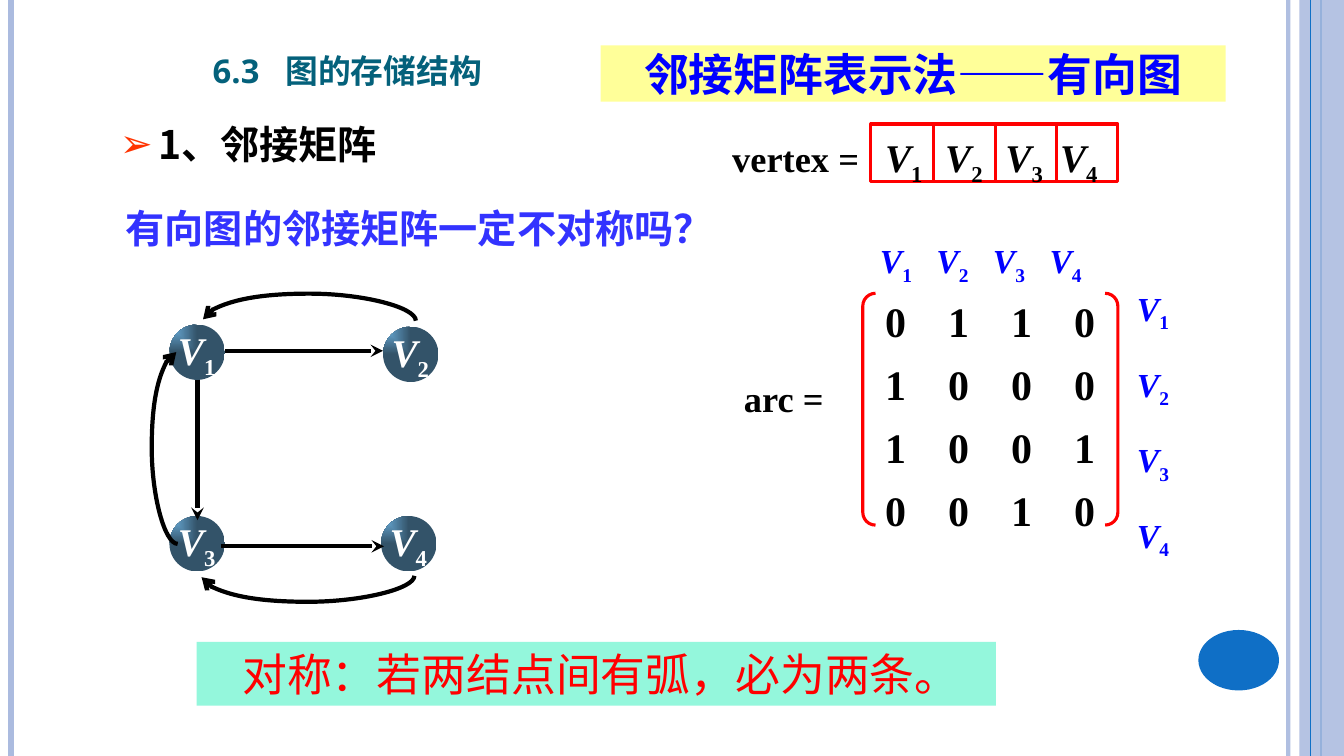
from dataclasses import dataclass

from lxml import etree
from pptx import Presentation
from pptx.dml.color import RGBColor
from pptx.enum.shapes import MSO_CONNECTOR as Link, MSO_SHAPE as Kind
from pptx.enum.text import MSO_ANCHOR as Anchor, MSO_AUTO_SIZE as Fit, PP_ALIGN as Align
from pptx.oxml import parse_xml
from pptx.oxml.ns import nsdecls, qn
from pptx.util import Pt


@dataclass(frozen=True)
class Theme:
    """Colours, fonts and type sizes of the slide."""
    frame: str = "ABBBDF"
    accent: str = "0F6FC6"
    heading: str = "04617B"
    black: str = "000000"
    white: str = "FFFFFF"
    red: str = "FF0000"
    bullet: str = "FF3300"
    blue: str = "0000FF"
    question: str = "3333FF"
    banner: str = "FFFF99"
    answer: str = "94F7DC"
    node_light: str = "6FB4E3"
    node_dark: str = "335369"
    serif: str = "Times New Roman"
    sans: str = "Noto Sans"
    chinese: str = "Noto Sans CJK SC"
    title_size: float = 29.2
    banner_size: float = 32
    matrix_size: float = 30
    body_size: float = 28
    label_size: float = 26
    index_size: float = 24


THEME = Theme()


def add_child(parent, tag, **attributes):
    """Append a DrawingML element with the given attributes."""
    return etree.SubElement(parent, qn(f"a:{tag}"), attributes)


def add_span(para, text, size, color, font=THEME.serif, bold=True, italic=False, **extra):
    """Add one formatted run; extra attributes go to its properties."""
    span = para.add_run()
    span.text = text
    span.font.size, span.font.name = Pt(size), font
    span.font.bold, span.font.italic = bold, italic
    span.font.color.rgb = RGBColor.from_string(color)
    props = span._r.get_or_add_rPr()
    add_child(props, "ea", typeface=THEME.chinese)
    for name, value in extra.items():
        props.set(name, value)


def add_vertices(para, numbers, size, color):
    """Write vertex names with subscripts, parted by tabs."""
    for position, number in enumerate(numbers):
        if position:
            add_span(para, "\t", size, color)
        add_span(para, "V", size, color, italic=True)
        add_span(para, str(number), size, color, baseline="-25000")


def set_tabs(para, stops):
    """Give a paragraph left tab stops."""
    tabs = add_child(para._p.get_or_add_pPr(), "tabLst")
    for stop in stops:
        add_child(tabs, "tab", pos=str(Pt(stop)), algn="l")


def prepare(box, margins=(7.2, 3.6, 7.2, 3.6), anchor=Anchor.TOP, align=Align.LEFT):
    """Set up the text frame and return its first paragraph."""
    frame = box.text_frame
    frame.word_wrap, frame.auto_size = True, Fit.NONE
    frame.vertical_anchor = anchor
    (frame.margin_left, frame.margin_top,
     frame.margin_right, frame.margin_bottom) = map(Pt, margins)
    para = frame.paragraphs[0]
    para.alignment = align
    para.space_before = Pt(0)
    return para


def add_text(page, left, top, width, height, **layout):
    """Add a text box and return its first paragraph and frame."""
    box = page.shapes.add_textbox(Pt(left), Pt(top), Pt(width), Pt(height))
    return prepare(box, **layout), box.text_frame


def add_figure(page, kind, left, top, width, height, fill=None, line=None):
    """Add a preset shape with a plain fill and outline."""
    shape = page.shapes.add_shape(kind, Pt(left), Pt(top), Pt(width), Pt(height))
    shape.shadow.inherit = False
    if fill:
        shape.fill.solid()
        shape.fill.fore_color.rgb = RGBColor.from_string(fill)
    else:
        shape.fill.background()
    if line:
        shape.line.color.rgb = RGBColor.from_string(line)
        shape.line.width = Pt(2.25)
    else:
        shape.line.fill.background()
    return shape


def add_line(page, x1, y1, x2, y2, color, weight, head=None, link=Link.STRAIGHT):
    """Add a connector, with an arrowhead at its end if one is named."""
    line = page.shapes.add_connector(link, Pt(x1), Pt(y1), Pt(x2), Pt(y2))
    line.line.color.rgb = RGBColor.from_string(color)
    line.line.width = Pt(weight)
    if head:
        add_child(line.line._get_or_add_ln(), "tailEnd", type=head)
    add_child(line.element.spPr, "effectLst")
    return line


def add_arc(page, x, y, span, bulge, turn, flip=False):
    """Add a curved arrow around a centre, bulging towards the turned x axis."""
    ends = (y - span / 2, y + span / 2)
    start, end = reversed(ends) if flip else ends
    arc = add_line(page, x - 0.5, start, x + 0.5, end, THEME.black, 3, "arrow", Link.CURVE)
    arc.rotation = turn
    guides = arc.element.spPr.find(qn("a:prstGeom")).get_or_add_avLst()
    add_child(guides, "gd", name="adj1", fmla=f"val {round(bulge * 100000)}")


def set_alpha(shape, percent):
    """Make the colours of a shape partly transparent."""
    for color in shape.element.spPr.iter(qn("a:srgbClr")):
        add_child(color, "alpha", val=str(percent * 1000))


def add_node(page, number, left, top):
    """Add a shaded graph node with its vertex name."""
    node = add_figure(page, Kind.OVAL, left, top, 39.6, 39.6)
    props = node.element.spPr
    shade = parse_xml(
        f'<a:gradFill {nsdecls("a")}><a:gsLst>'
        f'<a:gs pos="0"><a:srgbClr val="{THEME.node_light}"/></a:gs>'
        f'<a:gs pos="100000"><a:srgbClr val="{THEME.node_dark}"/></a:gs></a:gsLst>'
        '<a:path path="rect"><a:fillToRect r="100000" b="100000"/></a:path></a:gradFill>')
    props.replace(props.find(qn("a:noFill")), shade)
    para, _ = add_text(page, left + 5.4, top - 3.8, 36.7, 46.8, margins=(0.7, 5, 0, 0.7))
    add_vertices(para, [number], THEME.body_size, THEME.white)


def add_frame(page):
    """Draw the side rules, the band and the page-number disc."""
    set_alpha(add_line(page, 920.2, 0, 920.2, 540, THEME.frame, 3), 93)
    add_line(page, 7.9, 0, 7.9, 540, THEME.frame, 4.5)
    add_line(page, 943.9, 0, 943.9, 540, THEME.accent, 1.5)
    set_alpha(add_figure(page, Kind.RECTANGLE, 928.1, 0, 31.9, 540, THEME.frame), 87)
    add_line(page, 936, 0, 936, 540, THEME.accent, 0.75)
    add_figure(page, Kind.OVAL, 856, 450, 57.6, 43.2, THEME.accent)


def place(holder, left, top, width, height):
    """Move a placeholder."""
    holder.left, holder.top, holder.width, holder.height = map(Pt, (left, top, width, height))


def add_headings(page):
    """Fill the title and body, then add the banner, question and answer."""
    title, body = page.shapes.title, page.placeholders[1]
    place(title, 144.7, 25.2, 351.4, 43.9)
    para = prepare(title, anchor=Anchor.BOTTOM)
    add_span(para, "6.3\t图的存储结构", THEME.title_size, THEME.heading, THEME.sans, cap="small")
    set_tabs(para, [52])

    place(body, 78.5, 79.2, 340, 54.7)
    para = prepare(body, margins=(7.2, 0, 7.2, 0))
    para.line_spacing = 1.2
    props = para._p.get_or_add_pPr()
    props.set("marL", str(Pt(27.4)))
    props.set("indent", str(Pt(-27.4)))
    add_child(add_child(props, "buClr"), "srgbClr", val=THEME.bullet)
    add_child(props, "buChar", char="➢")
    add_span(para, "1、邻接矩阵", THEME.body_size, THEME.black, THEME.chinese)

    centred = dict(margins=(7.2, 0, 7.2, 0), anchor=Anchor.MIDDLE, align=Align.CENTER)
    banner = add_figure(page, Kind.RECTANGLE, 429.1, 32.4, 446.4, 40.3, THEME.banner)
    add_span(prepare(banner, **centred), "邻接矩阵表示法——有向图",
             THEME.banner_size, THEME.blue, THEME.chinese)
    para, _ = add_text(page, 76.3, 146.2, 442, 41, margins=(7.2, 0, 7.2, 0))
    add_span(para, " 有向图的邻接矩阵一定不对称吗？", THEME.body_size, THEME.question, THEME.chinese)
    answer = add_figure(page, Kind.RECTANGLE, 140.4, 458.6, 571, 45.4, THEME.answer)
    add_span(prepare(answer, **centred), " 对称：若两结点间有弧，必为两条。",
             THEME.banner_size, THEME.red, THEME.chinese, bold=False)


def add_arrays(page):
    """Draw the vertex array and the adjacency matrix with its indices."""
    array = add_figure(page, Kind.RECTANGLE, 622.1, 88.6, 176.4, 41, line=THEME.red)
    para = prepare(array, margins=(10.1, 6.5, 0, 3.6))
    add_vertices(para, range(1, 5), THEME.body_size, THEME.black)
    set_tabs(para, [43, 86, 125])
    for x in (666.7, 711.1, 754.8):
        add_line(page, x, 88.6, x, 130.1, THEME.red, 2.25)
    for name, top, width in (("vertex =", 91.4, 105.8), ("arc =", 262.8, 88.6)):
        para, _ = add_text(page, 515.5, top, width, 38.9,
                           margins=(7.2, 6.2, 7.2, 3.6), align=Align.CENTER)
        add_span(para, name, THEME.label_size, THEME.black)

    _, frame = add_text(page, 632.2, 201.6, 172.8, 187.9, margins=(0, 0.7, 0, 0.7))
    for index, row in enumerate(("0110", "1000", "1001", "0010")):
        para = frame.add_paragraph() if index else frame.paragraphs[0]
        para.line_spacing = 1.25
        add_span(para, "\t".join(row), THEME.matrix_size, THEME.black)
        set_tabs(para, [45, 90, 135])
    bracket = add_figure(page, Kind.DOUBLE_BRACKET, 616.3, 209.5, 182.2, 165.6, line=THEME.red)
    bracket.adjustments[0] = 0.055

    para, _ = add_text(page, 621.4, 165.6, 220.3, 36, margins=(7.2, 6, 7.2, 3.6))
    add_vertices(para, range(1, 5), THEME.index_size, THEME.blue)
    set_tabs(para, [40.4, 80.8, 121.2])
    _, frame = add_text(page, 805, 180.7, 47.5, 210)
    for number in range(1, 5):
        para = frame.paragraphs[0] if number == 1 else frame.add_paragraph()
        para.line_spacing = 1.65
        add_vertices(para, [number], THEME.index_size, THEME.blue)


def add_graph(page):
    """Draw the directed graph: nodes, straight arcs and curved arcs."""
    nodes = ((121, 231.8), (273.6, 233.3), (121, 368.6), (272.2, 368.6))
    for number, corner in enumerate(nodes, start=1):
        add_node(page, number, *corner)
    for ends in ((160.6, 250.6, 273.6, 250.6), (141.1, 271.4, 141.1, 371.5),
                 (157.7, 390.2, 274.3, 390.2)):
        add_line(page, *ends, THEME.black, 3, "stealth")
    add_arc(page, 221, 228.6, 152, 19.5, 270, flip=True)
    add_arc(page, 126.4, 320, 137, 18.7, 180)
    add_arc(page, 220, 411.8, 152, 18.7, 90)


def main():
    """Build the slide and save it."""
    deck = Presentation()
    deck.slide_width, deck.slide_height = Pt(960), Pt(540)
    page = deck.slides.add_slide(deck.slide_layouts[1])
    add_frame(page)
    add_headings(page)
    add_arrays(page)
    add_graph(page)
    deck.save("out.pptx")


main()
